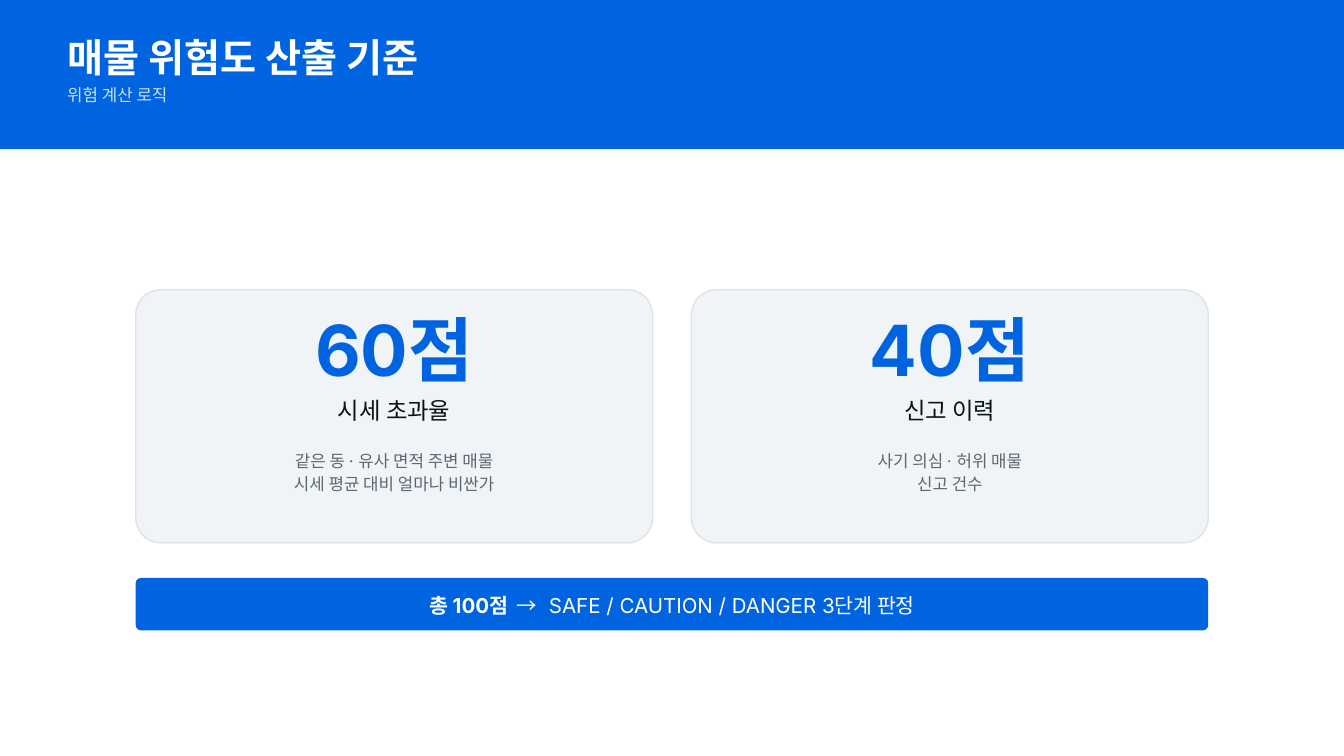
from dataclasses import dataclass

from lxml.etree import SubElement
from pptx import Presentation
from pptx.dml.color import RGBColor
from pptx.enum.shapes import MSO_SHAPE
from pptx.enum.text import PP_ALIGN
from pptx.oxml.ns import qn
from pptx.util import Inches, Pt

COLUMNS, ROWS = 20, 11.25
MARGIN, GAP = 2.02, 0.58
CONTENT_WIDTH = COLUMNS - 2 * MARGIN
CARD_TOP, CARD_HEIGHT = 4.31, 3.77
CARDS = [
    ("60점", "시세 초과율", ["같은 동 · 유사 면적 주변 매물", "시세 평균 대비 얼마나 비싼가"]),
    ("40점", "신고 이력", ["사기 의심 · 허위 매물", "신고 건수"]),
]


@dataclass(frozen=True)
class Theme:
    font: str = "Inter"
    blue: str = "0064E0"
    white: str = "FFFFFF"
    panel: str = "F1F4F7"
    border: str = "DEE3E9"
    ink: str = "0A1317"
    muted: str = "5A6872"
    title: float = 42
    score: float = 75.5
    label: float = 25
    verdict: float = 22
    body: float = 18
    leading: float = 1.4


class SlideBuilder:
    def __init__(self, presentation, theme):
        self.theme = theme
        self.slide = presentation.slides.add_slide(presentation.slide_layouts[6])
        self.column = presentation.slide_width / COLUMNS
        self.row = presentation.slide_height / ROWS

    def place(self, left, top, width, height):
        """Turn grid columns and rows into slide lengths."""
        return (round(left * self.column), round(top * self.row),
                round(width * self.column), round(height * self.row))

    def panel(self, area, fill, border=None, border_width=1.5, rounding=None):
        kind = MSO_SHAPE.RECTANGLE if rounding is None else MSO_SHAPE.ROUNDED_RECTANGLE
        panel = self.slide.shapes.add_shape(kind, *self.place(*area))
        panel.shadow.inherit = False
        panel.fill.solid()
        panel.fill.fore_color.rgb = RGBColor.from_string(fill)
        if rounding is not None:
            panel.adjustments[0] = rounding
        if border:
            panel.line.color.rgb = RGBColor.from_string(border)
            panel.line.width = Pt(border_width)
        else:
            panel.line.fill.background()

    def text(self, area, lines, size, color, align=PP_ALIGN.CENTER, bold=False, opacity=None):
        """Write lines; each is a string or a list of (text, bold, tracking) runs."""
        frame = self.slide.shapes.add_textbox(*self.place(*area)).text_frame
        frame_format = dict(word_wrap=True, margin_left=0, margin_right=0,
                            margin_top=0, margin_bottom=0)
        for name, value in frame_format.items():
            setattr(frame, name, value)
        for index, line in enumerate(lines):
            paragraph = frame.add_paragraph() if index else frame.paragraphs[0]
            paragraph.alignment = align
            paragraph.line_spacing = Pt(round(size * self.theme.leading, 1))
            runs = [(line, bold, 0)] if isinstance(line, str) else line
            for wording, is_bold, tracking in runs:
                run = paragraph.add_run()
                run.text = wording
                font_format = dict(name=self.theme.font, size=Pt(size), bold=is_bold)
                for name, value in font_format.items():
                    setattr(run.font, name, value)
                run.font.color.rgb = RGBColor.from_string(color)
                properties = run._r.get_or_add_rPr()
                if tracking:
                    properties.set("spc", str(tracking * 100))
                if opacity:
                    rgb = properties.find(".//" + qn("a:srgbClr"))
                    SubElement(rgb, qn("a:alpha"), val=str(opacity * 1000))

    def header(self, title, subtitle):
        theme = self.theme
        self.panel((0, 0, COLUMNS, 2.21), theme.blue, theme.blue, 2)
        self.text((1, 0.38, 12.5, 0.79), [title], theme.title, theme.white,
                  PP_ALIGN.LEFT, bold=True)
        self.text((1, 1.21, 12.5, 0.34), [subtitle], theme.body, theme.white,
                  PP_ALIGN.LEFT, opacity=80)

    def card(self, left, width, score, label, details):
        theme = self.theme
        self.panel((left, CARD_TOP, width, CARD_HEIGHT), theme.panel, theme.border, rounding=0.1)
        self.text((left, 4.35, width, 1.42), [score], theme.score, theme.blue, bold=True)
        self.text((left, 5.82, width, 0.46), [label], theme.label, theme.ink)
        self.text((left, 6.65, width, 0.68), details, theme.body, theme.muted)

    def verdict(self, runs):
        theme = self.theme
        self.panel((MARGIN, 8.6, CONTENT_WIDTH, 0.78), theme.blue, rounding=0.1)
        self.text((MARGIN, 8.76, CONTENT_WIDTH, 0.41), [runs], theme.verdict, theme.white)


def main():
    presentation = Presentation()
    presentation.slide_width, presentation.slide_height = Inches(COLUMNS), Inches(ROWS)
    builder = SlideBuilder(presentation, Theme())

    builder.header("매물 위험도 산출 기준", "위험 계산 로직")
    card_width = (CONTENT_WIDTH - GAP * (len(CARDS) - 1)) / len(CARDS)
    for index, (score, label, details) in enumerate(CARDS):
        builder.card(MARGIN + index * (card_width + GAP), card_width, score, label, details)
    builder.verdict([("총 100점", True, 0), (" → ", False, 4),
                     ("SAFE / CAUTION / DANGER 3단계 판정", False, 0)])

    presentation.save("out.pptx")


if __name__ == "__main__":
    main()
